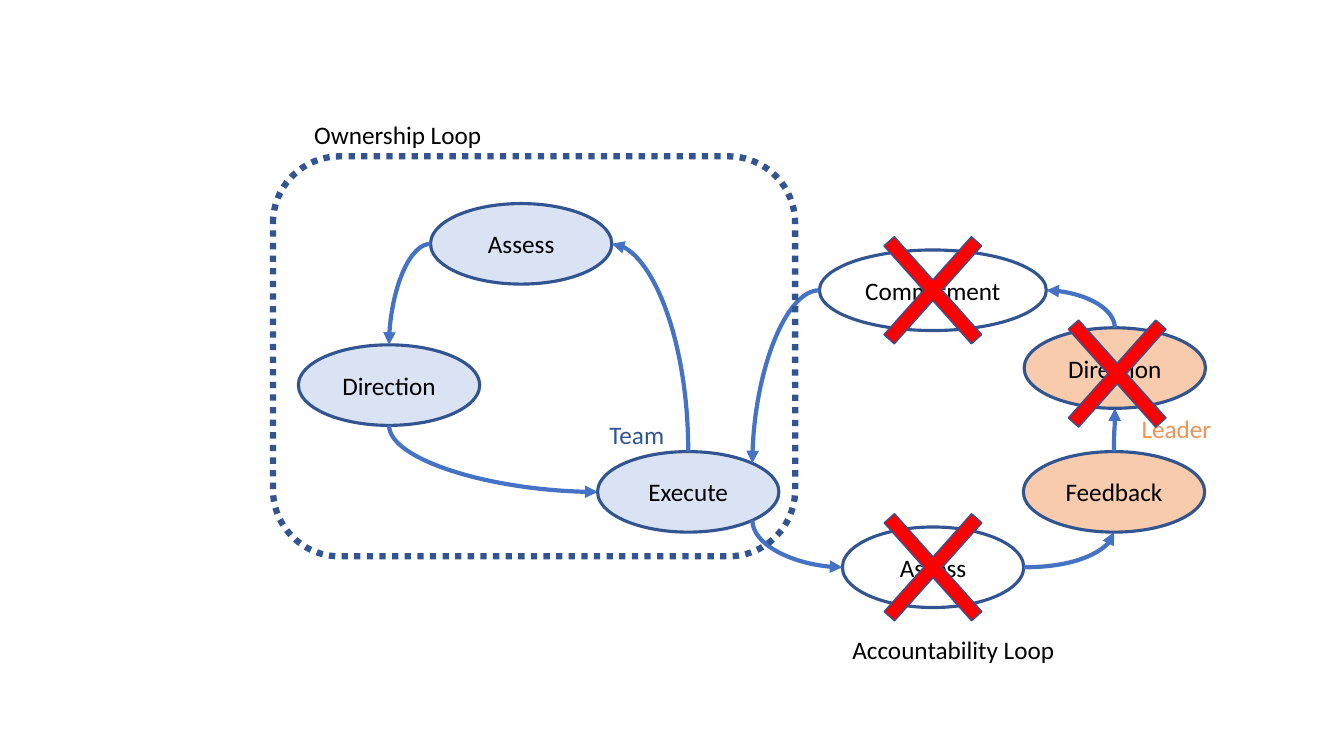
import math

import lxml.etree
import pptx
import pptx.dml.color
import pptx.enum.dml
import pptx.enum.shapes
import pptx.enum.text
import pptx.oxml.ns
import pptx.util

Cm, Pt = pptx.util.Cm, pptx.util.Pt
RGB = pptx.dml.color.RGBColor
KIND = pptx.enum.shapes.MSO_SHAPE

NAVY = RGB(0x32, 0x54, 0x91)
BLUE = RGB(0x44, 0x72, 0xC4)
PALE = RGB(0xDA, 0xE3, 0xF3)
PEACH = RGB(0xF8, 0xCB, 0xAD)
RED = RGB(0xFF, 0x00, 0x00)
BLACK = RGB(0x00, 0x00, 0x00)
TEAM = RGB(0x2F, 0x55, 0x97)
LEADER = RGB(0xF0, 0x94, 0x56)

NODE_W, NODE_H = 4.57, 2.03
CROSS_W, CROSS_H = 4.24, 4.75

# Directions from a node's centre to a point on its outline
DIAG = math.sqrt(0.5)
TOP, BOTTOM, LEFT, RIGHT = (0, -1), (0, 1), (-1, 0), (1, 0)
UPPER, LOWER = (DIAG, -DIAG), (DIAG, DIAG)


def write(shape, text, color):
    shape.text_frame.text = text
    font = shape.text_frame.paragraphs[0].runs[0].font
    font.name, font.size = "Calibri", Pt(18)
    font.color.rgb = color


def draw(slide, kind, box, fill=None, width=2.25):
    shape = slide.shapes.add_shape(kind, *[Cm(v) for v in box])
    shape.shadow.inherit = False
    if fill is None:
        shape.fill.background()
    else:
        shape.fill.solid()
        shape.fill.fore_color.rgb = fill
    shape.line.color.rgb = NAVY
    shape.line.width = Pt(width)
    return shape


def node(slide, text, x, y, fill=None, w=NODE_W):
    shape = draw(slide, KIND.OVAL, (x, y, w, NODE_H), fill)
    write(shape, text, BLACK)
    shape.text_frame.vertical_anchor = pptx.enum.text.MSO_ANCHOR.MIDDLE
    shape.text_frame.paragraphs[0].alignment = pptx.enum.text.PP_ALIGN.CENTER
    return shape


def label(slide, text, x, y, w, color=BLACK):
    shape = slide.shapes.add_textbox(Cm(x), Cm(y), Cm(w), Cm(1.02))
    write(shape, text, color)
    shape.text_frame.word_wrap = False
    shape.text_frame.auto_size = pptx.enum.text.MSO_AUTO_SIZE.SHAPE_TO_FIT_TEXT


def cross(slide, target, dx=0, dy=0):
    """Strike out a node, shifted from its centre by dx and dy."""
    x = (target.left + target.width / 2) / Cm(1) - CROSS_W / 2 + dx
    y = (target.top + target.height / 2) / Cm(1) - CROSS_H / 2 + dy
    shape = draw(slide, KIND.MATH_MULTIPLY, (x, y, CROSS_W, CROSS_H), RED, 1)
    shape.adjustments[0] = 0.082


def site(shape, side):
    return (shape.left + shape.width / 2 * (1 + side[0]),
            shape.top + shape.height / 2 * (1 + side[1]))


def arrow(slide, start, out, end, into, bend=2):
    """Curve between two outline points; it leaves upright unless out is sideways."""
    x1, y1 = site(start, out)
    x2, y2 = site(end, into)
    upright = out not in (LEFT, RIGHT)
    if upright:
        # Lay the curve on its side about its middle; a quarter turn restores it
        mx, my, dx, dy = (x1 + x2) / 2, (y1 + y2) / 2, x2 - x1, y2 - y1
        x1, y1, x2, y2 = mx - dy / 2, my + dx / 2, mx + dy / 2, my - dx / 2
    line = slide.shapes.add_connector(
        pptx.enum.shapes.MSO_CONNECTOR.CURVE,
        *[round(v) for v in (x1, y1, x2, y2)])
    line.line.color.rgb = BLUE
    line.line.width = Pt(3)
    props, qn = line._element.spPr, pptx.oxml.ns.qn
    props.find(qn("a:prstGeom")).set("prst", f"curvedConnector{bend}")
    if upright:
        props.find(qn("a:xfrm")).set("rot", "5400000")
    lxml.etree.SubElement(props.find(qn("a:ln")), qn("a:tailEnd"), type="triangle")
    lxml.etree.SubElement(props, qn("a:effectLst"))


def account(slide, x, y, hub):
    """Accountability loop, with its top left corner at x, y."""
    commit = node(slide, "Commitment", x, y, w=5.72)
    assess = node(slide, "Assess", x + 0.58, y + 6.98)
    feed = node(slide, "Feedback", x + 5.14, y + 5.08, PEACH)
    direct = node(slide, "Direction", x + 5.16, y + 1.96, PEACH)
    label(slide, "Leader", x + 7.87, y + 3.99, 2.29, LEADER)
    label(slide, "Accountability Loop", x + 0.58, y + 9.55, 5.66)
    arrow(slide, commit, LEFT, hub, UPPER)
    arrow(slide, hub, LOWER, assess, LEFT)
    arrow(slide, assess, RIGHT, feed, BOTTOM)
    arrow(slide, feed, TOP, direct, BOTTOM, bend=3)
    arrow(slide, direct, TOP, commit, RIGHT)
    cross(slide, direct, 0.06, 0.14)
    cross(slide, commit)
    cross(slide, assess)


def owner(slide, x, y, w, h, hub):
    """Ownership loop inside its dotted frame."""
    direct = node(slide, "Direction", x + 0.64, y + 4.75, PALE)
    assess = node(slide, "Assess", x + 3.97, y + 1.19, PALE)
    frame = draw(slide, KIND.ROUNDED_RECTANGLE, (x, y, w, h), width=4.5)
    frame.line.dash_style = pptx.enum.dml.MSO_LINE.ROUND_DOT
    label(slide, "Ownership Loop", x + 0.79, y - 1.07, 4.78)
    label(slide, "Team", x + 8.23, y + 6.5, 1.91, TEAM)
    arrow(slide, hub, TOP, assess, RIGHT)
    arrow(slide, assess, LEFT, direct, TOP)
    arrow(slide, direct, BOTTOM, hub, LEFT)


def main():
    deck = pptx.Presentation()
    deck.slide_width, deck.slide_height = Cm(33.87), Cm(19.05)
    slide = deck.slides.add_slide(deck.slide_layouts[6])
    hub = node(slide, "Execute", 15.06, 11.38, PALE)
    account(slide, 20.65, 6.3, hub)
    owner(slide, 6.88, 3.94, 13.16, 10.08, hub)
    deck.save("out.pptx")


if __name__ == "__main__":
    main()
